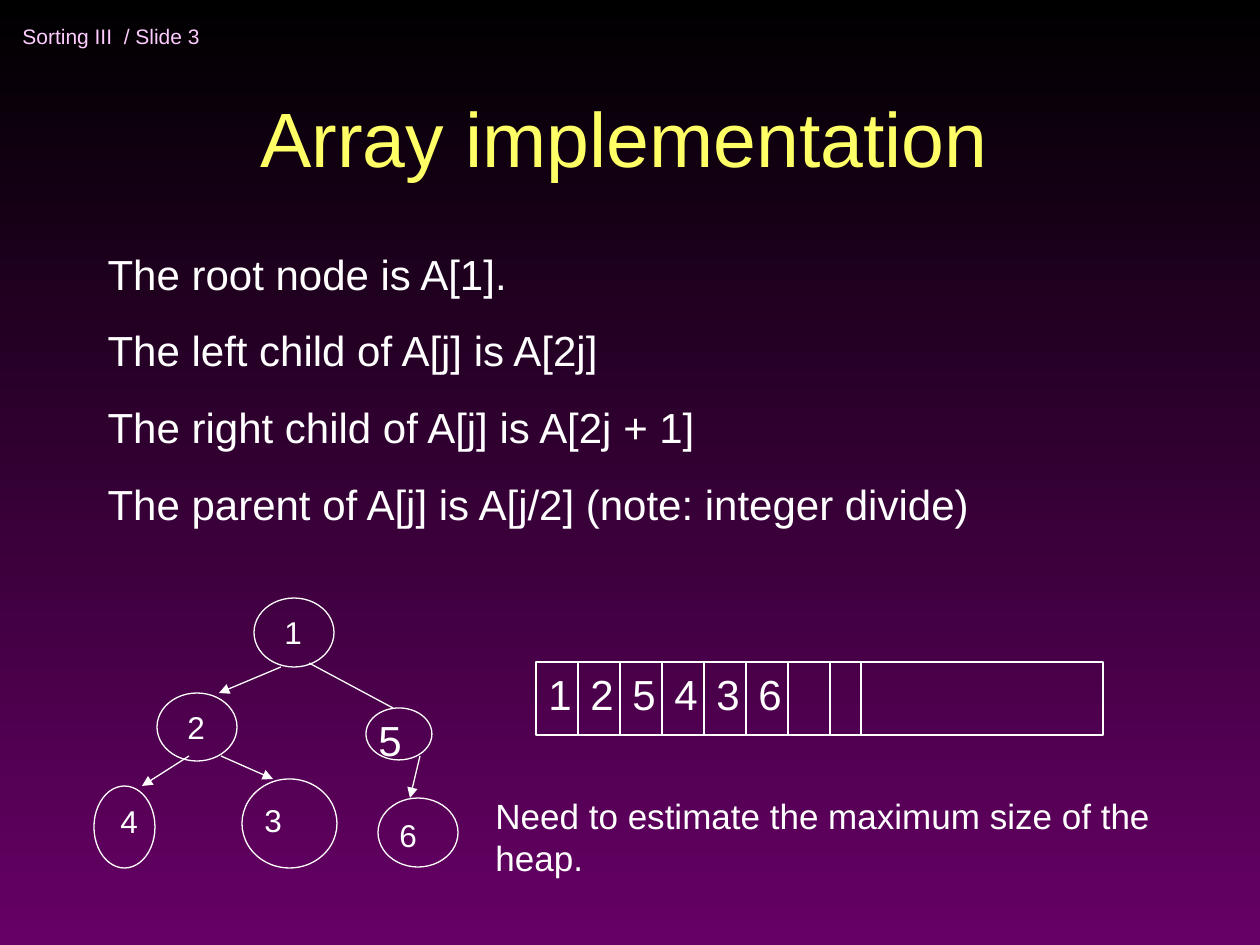
from dataclasses import dataclass

from lxml import etree
from pptx import Presentation
from pptx.dml.color import RGBColor
from pptx.enum.shapes import MSO_CONNECTOR, MSO_SHAPE
from pptx.enum.text import MSO_ANCHOR, MSO_AUTO_SIZE, PP_ALIGN
from pptx.oxml.ns import qn
from pptx.util import Emu, Pt

OVAL, RECT = MSO_SHAPE.OVAL, MSO_SHAPE.RECTANGLE
STRAIGHT = MSO_CONNECTOR.STRAIGHT
TOP, MIDDLE, BOTTOM = MSO_ANCHOR.TOP, MSO_ANCHOR.MIDDLE, MSO_ANCHOR.BOTTOM
LEFT, CENTER = PP_ALIGN.LEFT, PP_ALIGN.CENTER
NO_FIT = MSO_AUTO_SIZE.NONE
SCALE = 914400 / 126  # EMU in one px


@dataclass(frozen=True)
class Theme:
    font: str = "Arial"
    dark: str = "000000"
    glow: str = "660066"
    title: str = "FFFF66"
    head: str = "FFCCFF"
    ink: str = "FFFFFF"
    huge: int = 44
    large: int = 24
    note: int = 20
    label: int = 18
    small: int = 12
    gap: float = 0.625  # space before, as a share of the type size
    line: float = 0.75


THEME = Theme()


def px(*nums):
    return [Emu(round(n * SCALE)) for n in nums]


def rgb(code):
    return RGBColor.from_string(code)


def write(frame, text, size, color=THEME.ink, align=LEFT, anchor=TOP,
          wrap=True, gap=THEME.gap):
    frame.text = text
    frame.word_wrap = wrap
    frame.auto_size = NO_FIT
    frame.vertical_anchor = anchor
    for para in frame.paragraphs:
        para.alignment = align
        para.space_before = Pt(round(size * gap, 1))
        for run in para.runs:
            run.font.name = THEME.font
            run.font.size = Pt(size)
            run.font.color.rgb = rgb(color)


def add_text(shapes, box, text, size, **style):
    write(shapes.add_textbox(*px(*box)).text_frame, text, size, **style)


def ink(line):
    line.color.rgb = rgb(THEME.ink)
    line.width = Pt(THEME.line)


def outline(shapes, kind, box):
    shape = shapes.add_shape(kind, *px(*box))
    shape.shadow.inherit = False
    shape.fill.background()
    ink(shape.line)


def add_line(shapes, x1, y1, x2, y2, arrow=False):
    link = shapes.add_connector(STRAIGHT, *px(x1, y1, x2, y2))
    ink(link.line)
    props = link.element.spPr
    if arrow:
        etree.SubElement(props.find(qn("a:ln")), qn("a:tailEnd"), type="triangle")
    etree.SubElement(props, qn("a:effectLst"))


def place(shape, box):
    shape.left, shape.top, shape.width, shape.height = px(*box)


def paint(slide):
    fill = slide.background.fill
    fill.gradient()
    fill.gradient_angle = 270
    for stop, color in zip(fill.gradient_stops, (THEME.dark, THEME.glow)):
        stop.color.rgb = rgb(color)


def add_title(slide, box, text):
    title = slide.shapes.title
    place(title, box)
    write(title.text_frame, text, THEME.huge, color=THEME.title,
          align=CENTER, anchor=BOTTOM, gap=0)


def add_rules(slide, box, rules):
    body = slide.placeholders[1]
    place(body, box)
    write(body.text_frame, "\n".join(rules), THEME.large)
    # Plain lines: no bullets, no hanging indent
    for para in body.text_frame.paragraphs:
        props = para._p.get_or_add_pPr()
        props.set("marL", "0")
        props.set("indent", "0")
        etree.SubElement(props, qn("a:buNone"))


def add_tree(slide, x, y):
    shapes = slide.shapes.add_group_shape().shapes
    # Key, oval box, label box, type size
    nodes = [
        ("1", (160, 0, 80, 69), (178, 9, 141, 50), THEME.label),
        ("2", (63, 95, 80, 68), (81, 104, 88, 50), THEME.label),
        ("5", (272, 110, 66, 52), (272, 110, 66, 63), THEME.large),
        ("6", (284, 200, 80, 69), (293, 212, 106, 50), THEME.label),
        ("4", (0, 188, 61, 82), (14, 198, 68, 50), THEME.label),
        ("3", (148, 181, 95, 89), (158, 197, 126, 50), THEME.label),
    ]
    # Start, end, arrowhead
    edges = [
        (187, 69, 125, 95, True),
        (215, 65, 299, 110, False),
        (95, 158, 48, 188, True),
        (127, 158, 179, 181, True),
        (326, 158, 316, 200, True),
    ]
    for key, oval, label, size in nodes:
        outline(shapes, OVAL, (x + oval[0], y + oval[1], *oval[2:]))
        add_text(shapes, (x + label[0], y + label[1], *label[2:]), key, size)
    for x1, y1, x2, y2, arrow in edges:
        add_line(shapes, x + x1, y + y1, x + x2, y + y2, arrow)


def add_array(slide, box, keys):
    x, y, wide, high = box
    cell = 42
    shapes = slide.shapes.add_group_shape().shapes
    outline(shapes, RECT, box)
    # Seven equal cells, one narrow cell, then the free rest
    for step in [cell * i for i in range(1, 8)] + [325]:
        add_line(shapes, x + step, y, x + step, y + high)
    for i, key in enumerate(keys):
        add_text(shapes, (x + cell * i, y, 73, 63), key, THEME.large)


def main():
    deck = Presentation()
    deck.slide_width, deck.slide_height = px(1260, 945)
    slide = deck.slides.add_slide(deck.slide_layouts[1])
    paint(slide)

    # Header and title
    add_text(slide.shapes, (10, 10, 347, 53), "Sorting III  / Slide 3",
             THEME.small, color=THEME.head, anchor=MIDDLE, wrap=False, gap=0)
    add_title(slide, (84, 32, 1081, 157), "Array implementation")

    # Index rules
    add_rules(slide, (95, 242, 1008, 294), [
        "The root node is A[1].",
        "The left child of A[j] is A[2j]",
        "The right child of A[j] is A[2j + 1]",
        "The parent of A[j] is A[j/2] (note: integer divide)",
    ])

    # Heap as a tree and as an array
    add_tree(slide, 94, 598)
    add_array(slide, (536, 662, 567, 73), "125436")
    add_text(slide.shapes, (483, 788, 777, 97),
             "Need to estimate the maximum size of the heap.", THEME.note)

    deck.save("out.pptx")


if __name__ == "__main__":
    main()
